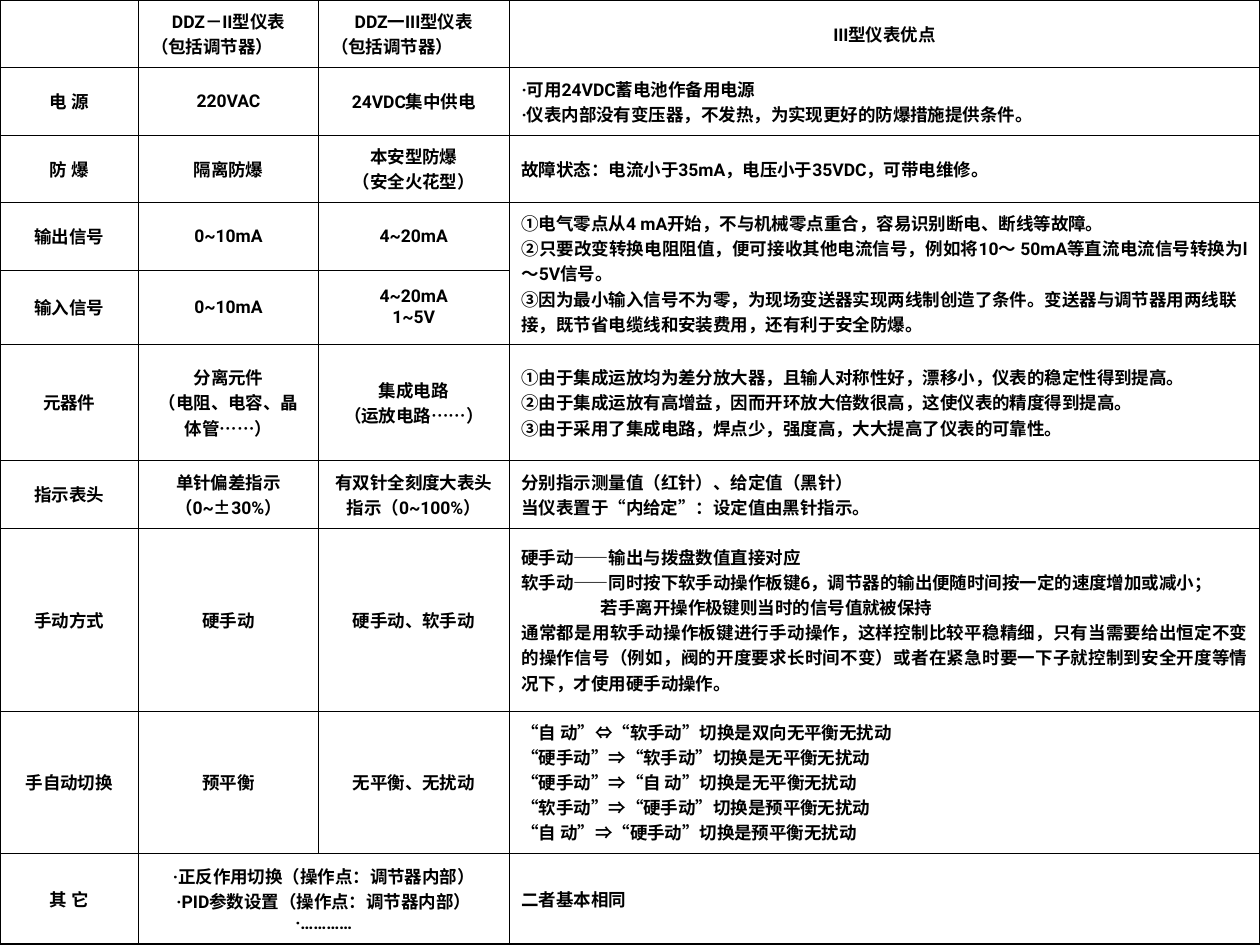
from lxml.etree import SubElement
from pptx import Presentation
from pptx.dml.color import RGBColor
from pptx.enum.text import MSO_ANCHOR, PP_ALIGN as Align
from pptx.oxml.ns import qn
from pptx.util import Cm, Pt

LATIN, CHINESE, SYMBOL = "Roboto", "Noto Sans CJK SC", "Arial"
BLACK, WHITE = "000000", "FFFFFF"
INNER, OUTER = Pt(0.45), Pt(1.08)


def color(value):
    return RGBColor.from_string(value)


def add_border(cell, side, width):
    line = SubElement(cell._tc.get_or_add_tcPr(), qn(f"a:{side}"), w=str(int(width)))
    fill = SubElement(line, qn("a:solidFill"))
    SubElement(fill, qn("a:srgbClr"), val=BLACK)


# Cell text: one string per paragraph. "|" switches between the Latin and the
# Chinese font, a leading "<" aligns left, a leading ">" indents.
rows = [
    [[],
     ["DDZ－II型仪表", "<|（包括调节器）"],
     ["DDZ一III型仪表", "<|（包括调节器）"],
     ["III|型仪表优点"]],
    [["|电 源"],
     ["220VAC"],
     ["24VDC|集中供电"],
     ["·可用24VDC蓄电池作备用电源",
      "<·|仪表内部没有变压器，不发热，为实现更好的防爆措施提供条件。"]],
    [["|防 爆"],
     ["|隔离防爆"],
     ["|本安型防爆", "|（安全火花型）"],
     ["故障状态：电流小于35mA，电压小于35VDC，|可带电维修。"]],
    [["|输出信号"],
     ["0~10mA"],
     ["4~20mA"],
     ["①电气零点从4 mA开始，不与机械零点重合，容易识别断电、断线等故障。",
      "②只要改变转换电阻阻值，便可接收其他电流信号，例如将10～ 50mA等直流电流信号转换为l～5V信号。",
      "<|③因为最小输入信号不为零，为现场变送器实现两线制创造了条件。"
      "变送器与调节器用两线联接，既节省电缆线和安装费用，还有利于安全防爆。"]],
    [["|输入信号"],
     ["0~10mA"],
     ["4~20mA", "1~5V"],
     []],
    [["|元器件"],
     ["分离元件", "|（电阻、电容、晶体管|……|）"],
     ["集成电路", "|（运放电路|……|）"],
     ["①由于集成运放均为差分放大器，且输人对称性好，漂移小，仪表的稳定性得到提高。",
      "②由于集成运放有高增益，因而开环放大倍数很高，这使仪表的精度得到提高。",
      "<|③由于采用了集成电路，焊点少，强度高，大大提高了仪表的可靠性。"]],
    [["|指示表头"],
     ["单针偏差指示", "|（|0~|±|30%|）"],
     ["|有双针全刻度大表头指示（|0~100%|）"],
     ["分别指示测量值（红针）、给定值（黑针）",
      "|当仪表置于|“|内给定|”|：设定值由黑针指示。"]],
    [["|手动方式"],
     ["|硬手动"],
     ["|硬手动、软手动"],
     ["硬手动——输出与拨盘数值直接对应",
      "软手动——同时按下软手动操作板键6，调节器的输出便随时间按一定的速度增加或减小；",
      ">若手离开操作极键则当时的信号值就被保持",
      "|通常都是用软手动操作板键进行手动操作，这样控制比较平稳精细，"
      "只有当需要给出恒定不变的操作信号（例如，阀的开度要求长时间不变）"
      "或者在紧急时要一下子就控制到安全开度等情况下，才使用硬手动操作。"]],
    [["|手自动切换"],
     ["|预平衡"],
     ["|无平衡、无扰动"],
     ["“自 动”|⇔|“软手动”切换是双向无平衡无扰动",
      "“硬手动”|⇒|“软手动”切换是无平衡无扰动",
      "“硬手动”|⇒|“自 动”切换是无平衡无扰动",
      "“软手动”|⇒|“硬手动”切换是预平衡无扰动",
      "<“|自 动|”|⇒|“|硬手动|”|切换是|预平衡无扰动"]],
    [["|其 它"],
     ["·正反作用切换（操作点：调节器内部）",
      "·PID参数设置（操作点：调节器内部）",
      "·…………"],
     [],
     ["<|二者基本相同"]],
]
column_widths = [2.79, 3.63, 3.84, 15.14]
row_heights = [1.36, 1.36, 1.36, 1.36, 1.5, 2.34, 1.37, 3.68, 2.87, 1.83]

presentation = Presentation()
presentation.slide_width, presentation.slide_height = Cm(25.4), Cm(19.05)
slide = presentation.slides.add_slide(presentation.slide_layouts[6])

# Comparison table filling the slide
shape = slide.shapes.add_table(len(rows), len(column_widths), 0, 0, Cm(25.4), Cm(19.05))
table = shape.table
table.first_row = table.horz_banding = False
for column, width in zip(table.columns, column_widths):
    column.width = Cm(width)
for row, height in zip(table.rows, row_heights):
    row.height = Cm(height)
table.cell(3, 3).merge(table.cell(4, 3))
table.cell(9, 1).merge(table.cell(9, 2))

last_row, last_column = len(rows) - 1, len(column_widths) - 1
for i, row_texts in enumerate(rows):
    for j, lines in enumerate(row_texts):
        cell = table.cell(i, j)
        cell.vertical_anchor = MSO_ANCHOR.MIDDLE

        # Borders, heavier around the outside
        edges = {"lnL": j == 0, "lnR": j == last_column, "lnT": i == 0, "lnB": i == last_row}
        for side, is_outer in edges.items():
            add_border(cell, side, OUTER if is_outer else INNER)
        cell.fill.solid()
        cell.fill.fore_color.rgb = color(WHITE)

        # Text
        alignment = Align.JUSTIFY if j == last_column and i > 0 else Align.CENTER
        frame = cell.text_frame
        for k, line in enumerate(lines):
            paragraph = frame.add_paragraph() if k else frame.paragraphs[0]
            paragraph.alignment = Align.LEFT if line.startswith("<") else alignment
            if line.startswith(">"):
                paragraph._p.get_or_add_pPr().set("marL", str(int(Cm(1.6))))
            paragraph.font.size = Pt(10)
            paragraph.font.bold = True
            paragraph.font.color.rgb = color(BLACK)
            for n, text in enumerate(line.lstrip("<>").split("|")):
                if not text:
                    continue
                run = paragraph.add_run()
                run.text = text
                run.font.name = SYMBOL if text in "⇔⇒" else (LATIN, CHINESE)[n % 2]
                SubElement(run._r.get_or_add_rPr(), qn("a:ea"), typeface=CHINESE)

presentation.save("out.pptx")
